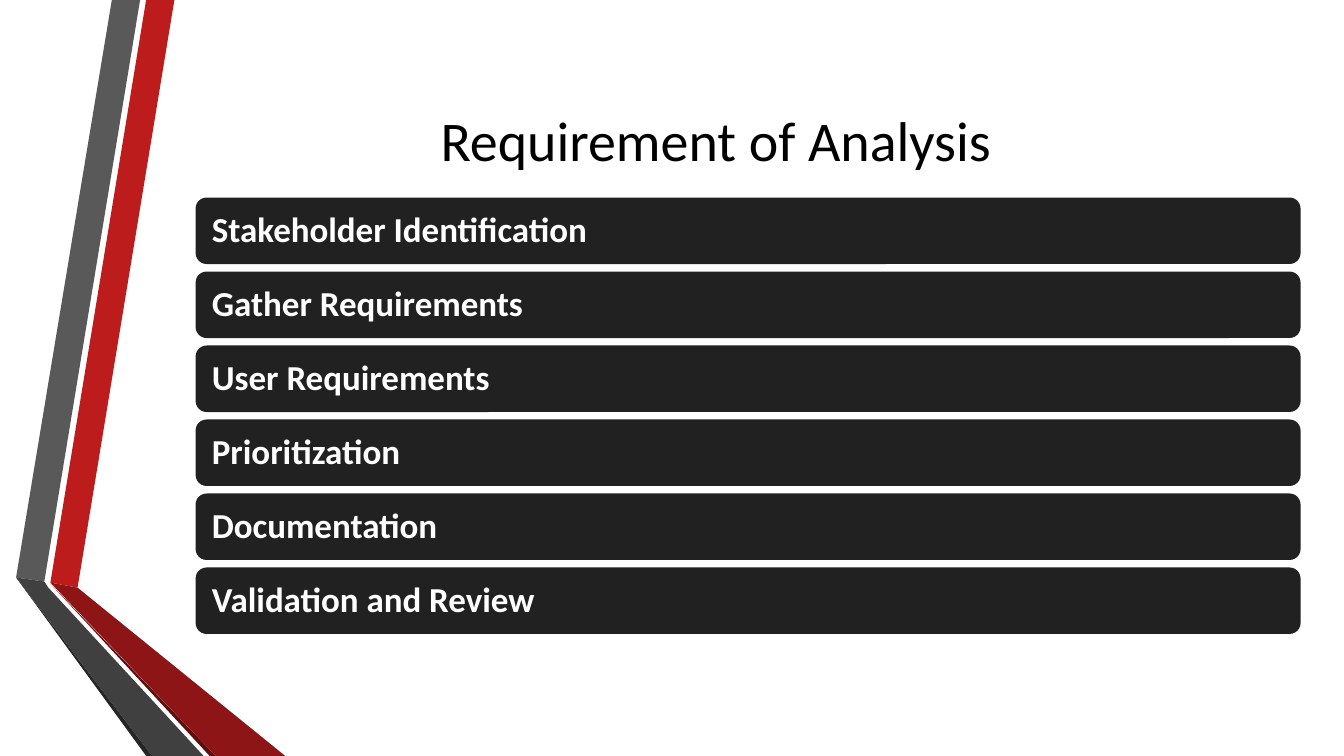
import pptx
import pptx.util
import pptx.dml.color
import pptx.enum.shapes
import pptx.enum.text

Inches = pptx.util.Inches
Pt = pptx.util.Pt

FONT = "Calibri"
COLORS = {
    "red": "BC1C1C",
    "red_fold": "8D1515",
    "red_edge": "5E0E0E",
    "gray": "595959",
    "gray_fold": "404040",
    "gray_edge": "262626",
    "bar": "212121",
    "title": "000000",
    "bar_text": "FFFFFF",
}

# Ribbon outlines in inches, from back to front
RIBBONS = [
    ("red", [(0.5, 5.78), (0.77, 5.83), (1.73, 0), (1.45, 0)]),
    ("gray", [(1.39, 0), (1.11, 0), (0.16, 5.73), (0.44, 5.77)]),
    ("gray_edge", [(0.16, 5.73), (1.45, 7.5), (1.51, 7.5)]),
    ("red_edge", [(0.5, 5.79), (2.08, 7.5), (2.14, 7.5)]),
    ("red_fold", [(0.5, 5.78), (2.14, 7.5), (2.83, 7.5), (0.77, 5.83)]),
    ("gray_fold", [(2.02, 7.5), (0.48, 5.83), (0.44, 5.77), (0.16, 5.73), (1.51, 7.5)]),
]

REQUIREMENTS = [
    "Stakeholder Identification",
    "Gather Requirements",
    "User Requirements",
    "Prioritization",
    "Documentation",
    "Validation and Review",
]
BAR_LEFT, BAR_TOP, BAR_WIDTH, BAR_HEIGHT = 1.94, 1.96, 10.96, 0.66
BARS_SPAN = 3.67  # from the top of the first bar to the top of the last


def rgb(name):
    return pptx.dml.color.RGBColor.from_string(COLORS[name])


def paint(shape, color):
    shape.shadow.inherit = False
    shape.fill.solid()
    shape.fill.fore_color.rgb = rgb(color)
    shape.line.fill.background()


def write(shape, text, size, color, align, bold=False):
    frame = shape.text_frame
    frame.word_wrap = True
    frame.vertical_anchor = pptx.enum.text.MSO_ANCHOR.MIDDLE
    para = frame.paragraphs[0]
    para.alignment = align
    span = para.add_run()
    span.text = text
    span.font.name = FONT
    span.font.size = Pt(size)
    span.font.bold = bold
    span.font.color.rgb = rgb(color)


def add_ribbon(page, color, corners):
    points = [(Inches(x), Inches(y)) for x, y in corners]
    builder = page.shapes.build_freeform(*points[0])
    builder.add_line_segments(points[1:], close=True)
    paint(builder.convert_to_shape(), color)


def add_title(page, text):
    box = page.shapes.add_textbox(Inches(1.62), Inches(0.75), Inches(10.96), Inches(1.92))
    # The bottom inset lifts the title clear of the bars
    box.text_frame.margin_bottom = Inches(0.7)
    write(box, text, 40, "title", pptx.enum.text.PP_ALIGN.CENTER)


def add_bar(page, top, text):
    bar = page.shapes.add_shape(
        pptx.enum.shapes.MSO_SHAPE.ROUNDED_RECTANGLE,
        Inches(BAR_LEFT), Inches(top), Inches(BAR_WIDTH), Inches(BAR_HEIGHT))
    paint(bar, "bar")
    bar.text_frame.margin_left = Inches(0.13)
    write(bar, text, 25, "bar_text", pptx.enum.text.PP_ALIGN.LEFT, bold=True)
    bar.text_frame.paragraphs[0].line_spacing = 0.9


def main():
    deck = pptx.Presentation()
    deck.slide_width, deck.slide_height = Inches(13.33), Inches(7.5)
    page = deck.slides.add_slide(deck.slide_layouts[6])

    # Folded ribbons on the left
    for color, corners in RIBBONS:
        add_ribbon(page, color, corners)

    # Title and list of requirements
    add_title(page, "Requirement of Analysis")
    pitch = BARS_SPAN / (len(REQUIREMENTS) - 1)
    for index, requirement in enumerate(REQUIREMENTS):
        add_bar(page, BAR_TOP + index * pitch, requirement)

    deck.save("out.pptx")


if __name__ == "__main__":
    main()
